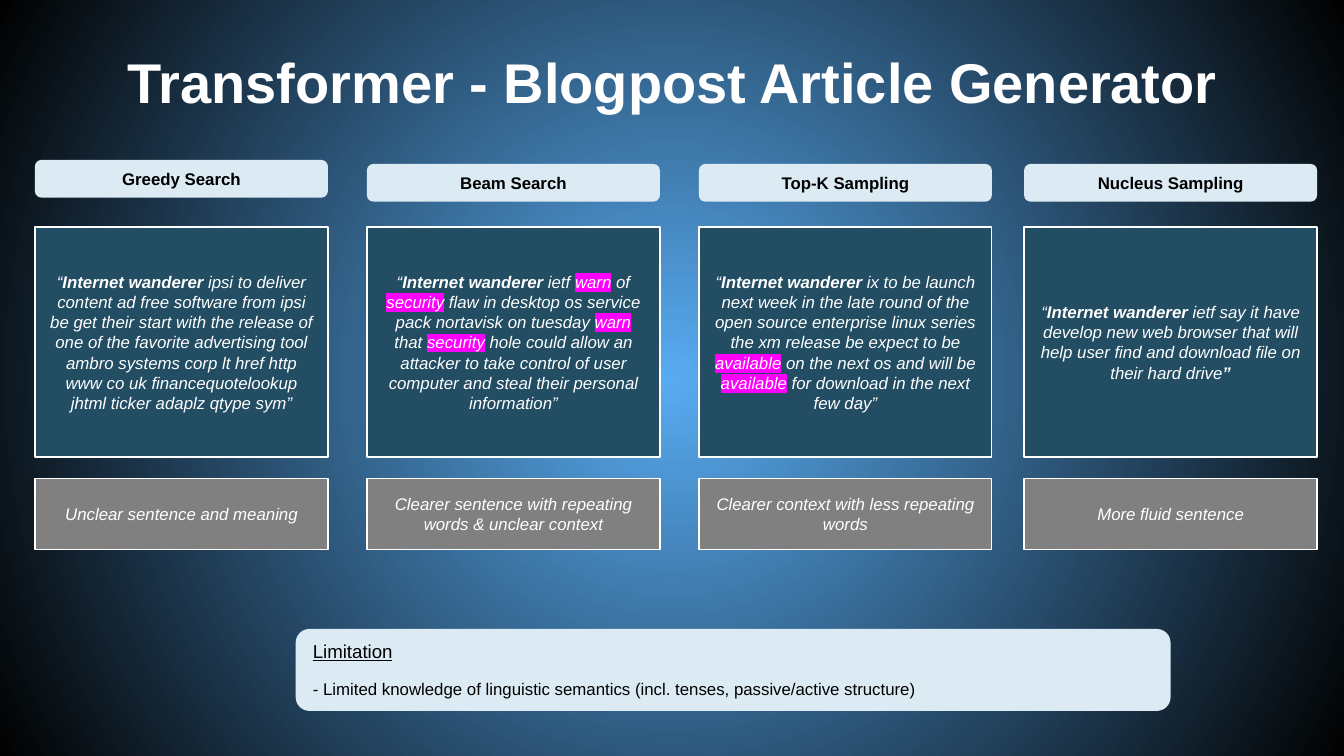
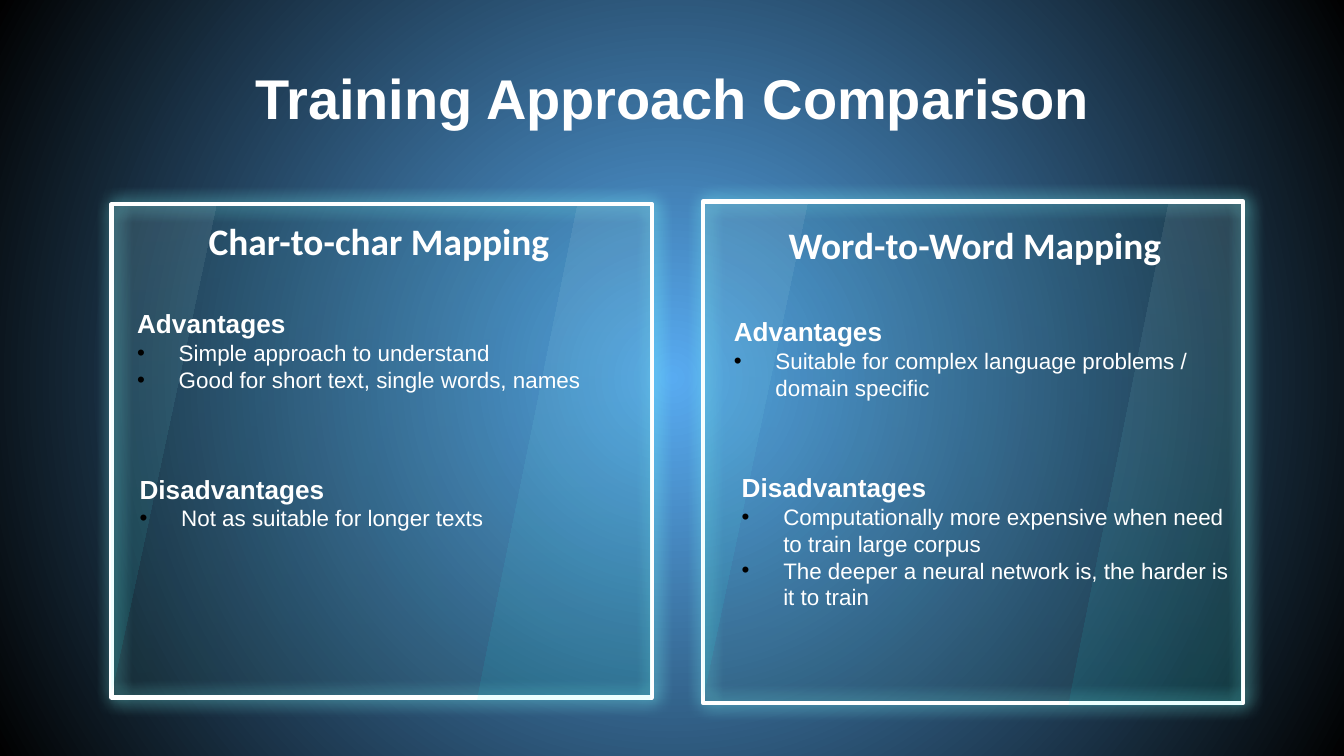
from dataclasses import dataclass

from pptx import Presentation
from pptx.dml.color import RGBColor as RGB
from pptx.enum.shapes import MSO_SHAPE as SHAPE
from pptx.enum.text import MSO_ANCHOR as ANCHOR, MSO_AUTO_SIZE as AUTO, PP_ALIGN as ALIGN
from pptx.oxml import parse_xml
from pptx.oxml.ns import nsdecls, qn
from pptx.util import Inches, Pt


@dataclass(frozen=True)
class Theme:
    white: str = "FFFFFF"
    ink: str = "010101"
    sky: str = "58ABF1"
    pale: str = "DBEAF3"
    teal: str = "224D63"
    gray: str = "808080"
    navy: str = "0A3250"
    cyan: str = "00FFFF"
    glow: str = "7EFFFF"
    mark: str = "FF00FF"
    bullet: str = "000000"
    font: str = "Arial"
    heading_font: str = "Calibri"
    title: int = 30
    heading: int = 20
    label: int = 14
    item: int = 12
    note: int = 10
    small: int = 9


T = Theme()
NS = nsdecls("a")


def write(s, text, size=T.small, color=T.white, font=T.font, bold=False, italic=False,
          underline=False, align=ALIGN.LEFT, anchor=ANCHOR.TOP, inset=0.05,
          bullet=False, before=0, auto=AUTO.NONE):
    """Add a paragraph; text is a string or (text, style) runs, style b = bold, h = highlight."""
    tf = s.text_frame
    tf.word_wrap, tf.auto_size, tf.vertical_anchor = True, auto, anchor
    tf.margin_left = tf.margin_right = Inches(0.1)
    tf.margin_top = tf.margin_bottom = Inches(inset)
    p = tf.add_paragraph() if tf.text else tf.paragraphs[0]
    p.alignment, p.space_before = align, Pt(before)
    pPr = p._p.get_or_add_pPr()
    indent = Inches(0.31) if bullet else 0
    pPr.set("marL", str(indent))
    pPr.set("indent", str(-indent))
    if bullet:
        pPr.append(parse_xml(f'<a:buClr {NS}><a:srgbClr val="{T.bullet}"/></a:buClr>'))
        pPr.append(parse_xml(f'<a:buFont {NS} typeface="{T.font}"/>'))
        pPr.append(parse_xml(f'<a:buChar {NS} char="•"/>'))
    else:
        pPr.append(parse_xml(f"<a:buNone {NS}/>"))
    for part, style in [(text, "")] if isinstance(text, str) else text:
        r = p.add_run()
        r.text = part
        f = r.font
        f.size, f.name, f.color.rgb = Pt(size), font, RGB.from_string(color)
        f.bold, f.italic, f.underline = bold or style == "b", italic, underline
        if style == "h":
            r._r.rPr.find(qn("a:solidFill")).addnext(parse_xml(
                f'<a:highlight {NS}><a:srgbClr val="{T.mark}"/></a:highlight>'))


def paint(s, fill, line=None, width=0.75, angle=0):
    """Fill with one colour, or with a faint gradient when given a pair."""
    s.shadow.inherit = False
    if isinstance(fill, str):
        s.fill.solid()
        s.fill.fore_color.rgb = RGB.from_string(fill)
    else:
        s.fill.gradient()
        s.fill.gradient_angle = angle
        for stop, color, pos in zip(s.fill.gradient_stops, fill, (0, 1)):
            stop.color.rgb, stop.position = RGB.from_string(color), pos
        for clr in s.element.spPr.find(qn("a:gradFill")).iter(qn("a:srgbClr")):
            clr.append(parse_xml(f'<a:alpha {NS} val="8000"/>'))
    if line:
        s.line.color.rgb, s.line.width = RGB.from_string(line), Pt(width)
    else:
        s.line.fill.background()


# Widescreen page, 16:9
prs = Presentation()
prs.slide_width = Inches(10)
prs.slide_height = Inches(10) * 9 // 16

# Shared background: a radial gradient on the master
master = prs.slide_master
master.background.fill.gradient()
grad = master.element.find(".//" + qn("p:bgPr")).find(qn("a:gradFill"))
grad.getparent().replace(grad, parse_xml(
    f'<a:gradFill {NS} rotWithShape="1"><a:gsLst>'
    f'<a:gs pos="0"><a:srgbClr val="{T.sky}"/></a:gs>'
    f'<a:gs pos="100000"><a:srgbClr val="{T.ink}"/></a:gs></a:gsLst>'
    '<a:path path="circle"><a:fillToRect l="50000" t="50000" r="50000" b="50000"/></a:path>'
    '</a:gradFill>'))

# Both slides with their titles
slides = []
for layout, top, title in [(5, 0.29, "Transformer - Blogpost Article Generator"),
                           (4, 0.41, "Training Approach Comparison")]:
    slide = prs.slides.add_slide(prs.slide_layouts[layout])
    s = slide.shapes.title
    s.left, s.top, s.width, s.height = map(Inches, (0.79, top, 8.43, 0.63))
    write(s, title, size=T.title, bold=True, align=ALIGN.CENTER, anchor=ANCHOR.MIDDLE, inset=0.1)
    slides.append(slide)
generator, comparison = slides

# Slide 1: one column per decoding method
opening = [("“", ""), ("Internet wanderer ", "b")]
methods = [
    (0.26, 1.19, "Greedy Search", "Unclear sentence and meaning",
     [("ipsi to deliver content ad free software from ipsi be get their start with the "
       "release of one of the favorite advertising tool ambro systems corp lt href http "
       "www co uk financequotelookup jhtml ticker adaplz qtype sym”", "")]),
    (2.73, 1.22, "Beam Search", "Clearer sentence with repeating words & unclear context",
     [("ietf ", ""), ("warn", "h"), (" of ", ""), ("security", "h"),
      (" flaw in desktop os service pack nortavisk on tuesday ", ""), ("warn", "h"),
      (" that ", ""), ("security", "h"),
      (" hole could allow an attacker to take control of user computer and steal "
       "their personal information”", "")]),
    (5.2, 1.22, "Top-K Sampling", "Clearer context with less repeating words",
     [("ix to be launch next week in the late round of the open source enterprise linux "
       "series the xm release be expect to be ", ""), ("available", "h"),
      (" on the next os and will be ", ""), ("available", "h"),
      (" for download in the next few day”", "")]),
    (7.62, 1.22, "Nucleus Sampling", "More fluid sentence",
     [("ietf say it have develop new web browser that will help user find and download "
       "file on their hard drive", ""), ("”", "b")]),
]
for left, top, name, verdict, sample in methods:
    for y, height, kind, fill, line, text, fmt in [
        (1.69, 1.71, SHAPE.RECTANGLE, T.teal, T.white, opening + sample, {"italic": True}),
        (3.56, 0.53, SHAPE.RECTANGLE, T.gray, T.white, verdict, {"italic": True}),
        (top, 0.28, SHAPE.ROUNDED_RECTANGLE, T.pale, None, name, {"bold": True, "color": T.ink}),
    ]:
        s = generator.shapes.add_shape(kind, *map(Inches, (left, y, 2.18, height)))
        paint(s, fill, line)
        write(s, text, align=ALIGN.CENTER, anchor=ANCHOR.MIDDLE, **fmt)

# Limitation note
s = generator.shapes.add_shape(SHAPE.ROUNDED_RECTANGLE, *map(Inches, (2.2, 4.68, 6.51, 0.61)))
paint(s, T.pale)
write(s, "Limitation", size=T.note, color=T.ink, underline=True)
write(s, "- Limited knowledge of linguistic semantics (incl. tenses, passive/active structure)",
      color=T.ink, before=9, auto=AUTO.SHAPE_TO_FIT_TEXT)

# Slide 2: glass panels with a glowing frame and two streaks of light
for x, y, h in [(0.83, 1.52, 3.67), (5.23, 1.5, 3.73)]:
    group = comparison.shapes.add_group_shape()
    frame = [(0, 0), (4.02, 0), (4.02, h), (0, h)]
    left_streak = [(0, 0), (0, h - 0.03), (0.78, 0)]
    right_streak = [(3.47, 0), (2.72, h + 0.02), (4.01, h + 0.02), (4.02, 0)]
    for outline in (frame, left_streak, right_streak):
        points = [(Inches(x + dx), Inches(y + dy)) for dx, dy in outline]
        builder = group.shapes.build_freeform(*points[0])
        builder.add_line_segments(points[1:], close=True)
        s = builder.convert_to_shape()
        if outline is frame:
            paint(s, (T.navy, T.ink), T.white, 2.25, angle=270)
            s.element.spPr.find(qn("a:effectLst")).append(parse_xml(
                f'<a:outerShdw {NS} blurRad="{Pt(9)}" dist="{Pt(1.5)}" dir="0" algn="ctr" '
                f'rotWithShape="0"><a:srgbClr val="{T.glow}"/></a:outerShdw>'))
        else:
            paint(s, (T.cyan, T.white), angle=90)

# Move the text placeholders in front of the panels
ph = {s.placeholder_format.idx: s for s in comparison.placeholders}
for idx in (1, 3, 2, 4):
    comparison.shapes.element.append(ph[idx].element)

# Panel headings
for idx, box, text in [(1, (0.79, 1.34, 4.06, 0.72), "Char-to-char Mapping"),
                       (3, (5.25, 1.37, 4.01, 0.72), "Word-to-Word Mapping")]:
    s = ph[idx]
    s.left, s.top, s.width, s.height = map(Inches, box)
    write(s, text, size=T.heading, font=T.heading_font, bold=True, align=ALIGN.CENTER,
          anchor=ANCHOR.BOTTOM, inset=0.1)

# Advantages in the content placeholders, disadvantages in text boxes
for idx, box, label, items in [
    (2, (0.92, 2.24, 5, 0.74), "Advantages",
     ["Simple approach to understand", "Good for short text, single words, names"]),
    (None, (0.94, 3.47, 3.75, 0.54), "Disadvantages", ["Not as suitable for longer texts"]),
    (4, (5.36, 2.3, 3.81, 0.74), "Advantages",
     ["Suitable for complex language problems / domain specific"]),
    (None, (5.42, 3.46, 3.83, 1.14), "Disadvantages",
     ["Computationally more expensive when need to train large corpus",
      "The deeper a neural network is, the harder is it to train"]),
]:
    box = [Inches(v) for v in box]
    s = ph[idx] if idx else comparison.shapes.add_textbox(*box)
    s.left, s.top, s.width, s.height = box
    write(s, label, size=T.label, bold=True)
    for item in items:
        write(s, item, size=T.item, bullet=True, auto=AUTO.SHAPE_TO_FIT_TEXT)

prs.save("out.pptx")
